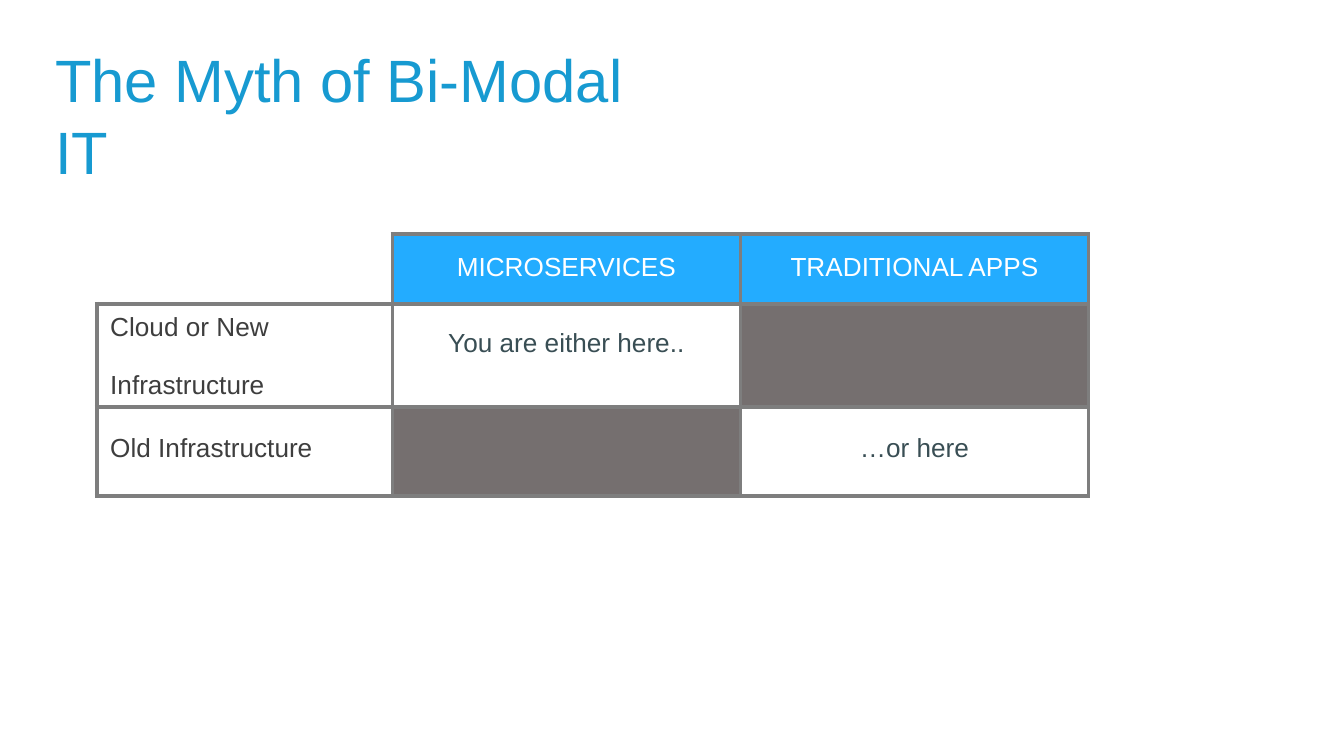
from lxml.etree import SubElement
from pptx import Presentation
from pptx.dml.color import RGBColor
from pptx.enum.text import MSO_ANCHOR, MSO_AUTO_SIZE, PP_ALIGN
from pptx.oxml.ns import qn
from pptx.util import Inches, Pt

TITLE_BLUE = RGBColor(0x17, 0x9A, 0xD1)
HEADER_BLUE = RGBColor(0x23, 0xAC, 0xFF)
WHITE = RGBColor(0xFF, 0xFF, 0xFF)
GRAY = RGBColor(0x75, 0x6F, 0x6F)
BORDER = RGBColor(0x7E, 0x7E, 0x7E)
LABEL = RGBColor(0x3E, 0x3E, 0x3E)
SLATE = RGBColor(0x39, 0x4E, 0x54)


class SlideBuilder:
    font_name = "Arial"
    body_size = 14
    title_size = 32
    border_width = 2.25
    paragraph_gap = 15

    def __init__(self, prs):
        self.slide = prs.slides.add_slide(prs.slide_layouts[5])

    def style(self, p, size, color, align):
        p.alignment = align
        p.font.name = self.font_name
        p.font.size = Pt(size)
        p.font.color.rgb = color

    def title(self, text, left, top, width, height):
        sp = self.slide.shapes.title
        sp.left, sp.top = Inches(left), Inches(top)
        sp.width, sp.height = Inches(width), Inches(height)
        tf = sp.text_frame
        tf.text = text
        tf.word_wrap = True
        tf.auto_size = MSO_AUTO_SIZE.NONE
        tf.vertical_anchor = MSO_ANCHOR.TOP
        tf.margin_right = tf.margin_bottom = 0
        tf.margin_left, tf.margin_top = Inches(0.02), Inches(0.01)
        self.style(tf.paragraphs[0], self.title_size, TITLE_BLUE, PP_ALIGN.LEFT)

    def table(self, left, top, widths, heights):
        frame = self.slide.shapes.add_table(
            len(heights), len(widths), Inches(left), Inches(top),
            Inches(sum(widths)), Inches(sum(heights)))
        table = frame.table
        table.first_row = table.horz_banding = False
        for column, width in zip(table.columns, widths):
            column.width = Inches(width)
        for row, height in zip(table.rows, heights):
            row.height = Inches(height)
        return table

    def borders(self, cell, sides):
        tcPr = cell._tc.get_or_add_tcPr()
        for side in ("L", "R", "T", "B"):
            ln = SubElement(tcPr, qn(f"a:ln{side}"))
            if side in sides:
                ln.set("w", str(Pt(self.border_width)))
                fill = SubElement(ln, qn("a:solidFill"))
                SubElement(fill, qn("a:srgbClr")).set("val", str(BORDER))
            else:
                ln.set("w", "0")
                SubElement(ln, qn("a:noFill"))

    def cell(self, cell, text="", color=SLATE, fill=None, inset=0.0,
             indent=0.0, align=PP_ALIGN.CENTER, sides="LRTB"):
        self.borders(cell, sides)
        if fill is None:
            cell.fill.background()
        else:
            cell.fill.solid()
            cell.fill.fore_color.rgb = fill
        cell.margin_left, cell.margin_top = Inches(indent), Inches(inset)
        cell.margin_right = cell.margin_bottom = 0
        cell.text = text
        for i, p in enumerate(cell.text_frame.paragraphs):
            self.style(p, self.body_size, color, align)
            if i:
                p.space_before = Pt(self.paragraph_gap)


def main():
    prs = Presentation()
    prs.slide_width = Inches(10)
    prs.slide_height = prs.slide_width * 9 // 16
    s = SlideBuilder(prs)
    s.title("The Myth of Bi-Modal IT", 0.39, 0.31, 4.76, 0.56)

    header = dict(color=WHITE, fill=HEADER_BLUE, inset=0.14)
    label = dict(color=LABEL, indent=0.1, align=PP_ALIGN.LEFT)
    blocked = dict(fill=GRAY)
    rows = [
        [dict(sides="RB"),
         dict(text="MICROSERVICES", **header),
         dict(text="TRADITIONAL APPS", **header)],
        [dict(text="Cloud or New\nInfrastructure", inset=0.07, **label),
         dict(text="You are either here..", inset=0.19),
         blocked],
        [dict(text="Old Infrastructure", inset=0.2, **label),
         blocked,
         dict(text="…or here", inset=0.2)],
    ]
    table = s.table(0.72, 1.74, [2.2, 2.59, 2.59], [0.52, 0.77, 0.66])
    for r, row in enumerate(rows):
        for c, options in enumerate(row):
            s.cell(table.cell(r, c), **options)

    prs.save("out.pptx")


if __name__ == "__main__":
    main()
